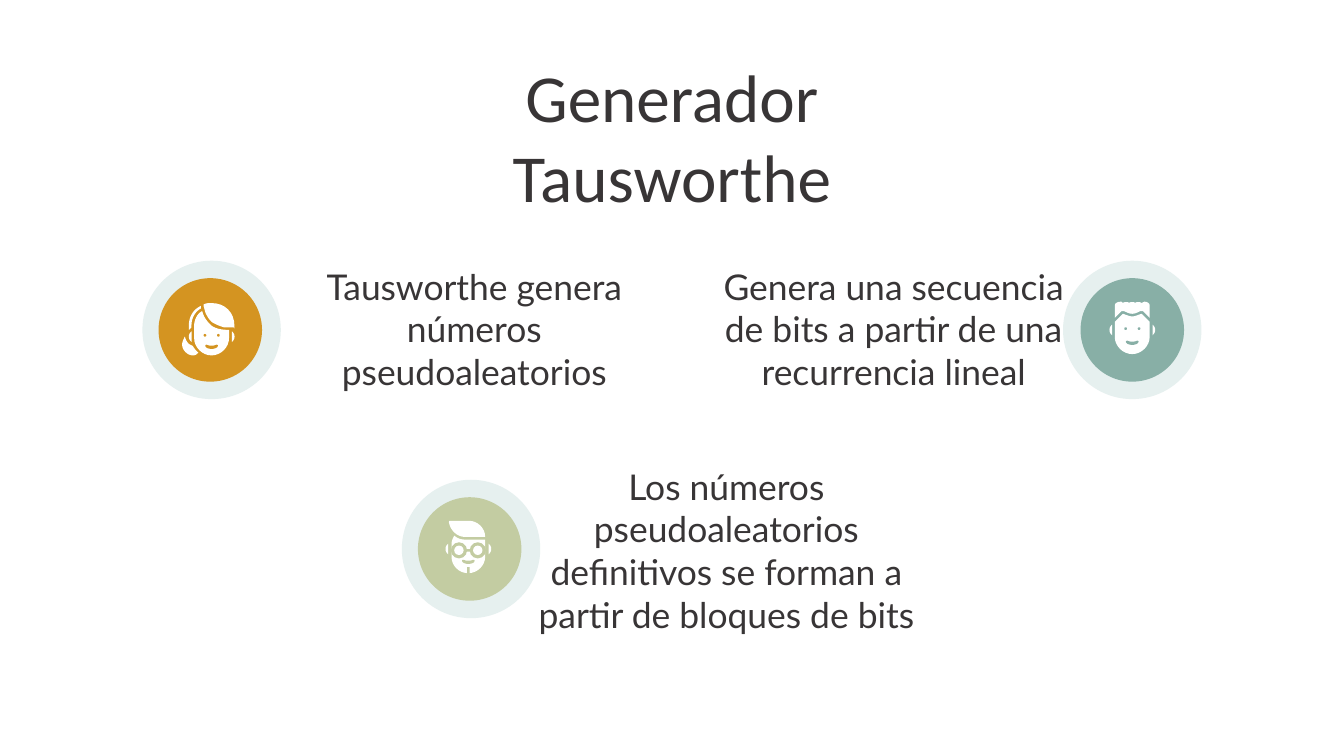
from pptx import Presentation
from pptx.dml.color import RGBColor
from pptx.enum.shapes import MSO_SHAPE
from pptx.enum.text import MSO_ANCHOR, PP_ALIGN
from pptx.util import Inches, Pt

OVAL, RECT = MSO_SHAPE.OVAL, MSO_SHAPE.RECTANGLE
TOP, CENTER = MSO_ANCHOR.TOP, PP_ALIGN.CENTER
INK, WHITE, PALE = "383536", "FFFFFF", "E6F0EF"
GOLD, TEAL, OLIVE = "D49421", "88AFA6", "C3CCA2"
RING, DISC = 1.03, 0.77

# Outlines in hundredths of an inch from the middle of the ears.
# A pair is a line to a point, six numbers are a Bezier curve.
EAR = [(-15, -4), (-16, -3, -17, -2, -17, 0), (-17, 2, -16, 3, -15, 4)]
MOUTH = [(-3.5, 0), (-2, 1, 2, 1, 3.5, 0), (5, 0, 5, 1, 4, 2),
         (2, 3.5, -2, 3.5, -4, 2), (-5, 1, -5, 0, -3.5, 0)]
WOMAN = [
    # face
    [(-7, -19), (-11, -17, -13, -12, -13, -8), (-13, 1),
     (-13, 8, -7, 14, 0, 14), (7, 14, 13, 8, 13, 1), (13, -5),
     (7, -5, 2, -6, -1, -9), (-4, -12, -6, -15, -7, -19)],
    # fringe
    [(0, -25), (-2, -25, -4, -25, -6, -24), (-6, -22, -5, -20, -5, -19),
     (-4, -16, -2, -13, 0, -11), (3, -9, 6, -8, 9, -7), (13, -7),
     (16, -7, 17, -7, 17, -6), (17, -8), (17, -18, 10, -25, 0, -25)],
    # side strand
    [(-8, -23), (-14, -20, -17, -15, -17, -8), (-17, -5), (-15, -7),
     (-15, -9), (-15, -14, -12, -19, -8, -21)],
    # bun
    [(-20, 0), (-21, 2, -22, 4, -22, 6), (-22, 10, -18, 14, -14, 14),
     (-12, 14, -11, 13, -10, 12), (-11, 11, -13, 9, -14, 7), (-16, 6),
     (-18, 5, -19, 3, -20, 0)],
]
CURLS = [step for x in (7, 2.5, -2)
         for step in ((x, -20), (x - 1, -21, x - 4, -21, x - 5, -20))]
MAN = [
    # face
    [(-7, -12), (-13, -6), (-13, 5), (-13, 12, -7, 18, 0, 18),
     (7, 18, 13, 12, 13, 5), (13, -6), (7, -12),
     (4, -11, 2, -10, 0, -10), (-2, -10, -4, -11, -7, -12)],
    # curly hair
    [(-13, -18), (-13, -9), (-8, -14), (-6, -14),
     (-4, -13, -2, -12, 0, -12), (2, -12, 4, -13, 6, -14), (8, -14),
     (13, -9), (13, -18), (13, -20, 11, -21, 9, -21), *CURLS,
     (-8, -21), (-11, -21, -13, -20, -13, -18)],
]
READER = [
    # face
    [(-10.5, -10), (-11.5, -8, -12.5, -6, -12.5, -4), (-12.5, 6),
     (-12.5, 12, -7.5, 18, 0, 18), (7, 18, 12.5, 12, 12.5, 6),
     (12.5, -7), (-2.5, -7), (-5.5, -7, -8.5, -8, -10.5, -10)],
    # swept hair
    [(-13.5, -21), (-14.5, -21, -14.5, -20, -14.5, -20),
     (-13.5, -14, -8.5, -9, -2.5, -9), (12.5, -9),
     (12.5, -16, 6.5, -21, 0.5, -21)],
]


def paint(shape, color):
    shape.shadow.inherit = False
    shape.fill.solid()
    shape.fill.fore_color.rgb = RGBColor.from_string(color)
    shape.line.fill.background()


def block(slide, kind, mid, size, color):
    """Preset shape centred on a point."""
    (x, y), (w, h) = mid, size
    paint(slide.shapes.add_shape(kind, Inches(x - w / 2), Inches(y - h / 2),
                                 Inches(w), Inches(h)), color)


def trace(slide, mid, steps, color, flip=1):
    """Closed outline around a point, with its curves cut into short lines."""
    dots = []
    for step in steps:
        if len(step) == 2:
            dots.append(step)
            continue
        nodes = [dots[-1], step[:2], step[2:4], step[4:]]
        for i in range(1, 9):
            t = i / 8
            mix = ((1 - t) ** 3, 3 * t * (1 - t) ** 2, 3 * t * t * (1 - t), t ** 3)
            dots.append(tuple(sum(m * n[k] for m, n in zip(mix, nodes))
                              for k in (0, 1)))
    spots = [(Inches(mid[0] + flip * x / 100), Inches(mid[1] + y / 100))
             for x, y in dots]
    outline = slide.shapes.build_freeform(*spots[0])
    outline.add_line_segments(spots[1:], close=True)
    paint(outline.convert_to_shape(), color)


def write(slide, box, text, size=19, font="Lato", color=INK):
    frame = slide.shapes.add_textbox(*map(Inches, box)).text_frame
    frame.word_wrap = True
    frame.vertical_anchor = TOP
    frame.margin_left = frame.margin_right = Inches(0.1)
    frame.margin_top = frame.margin_bottom = Inches(0.1)
    para = frame.paragraphs[0]
    para.alignment = CENTER
    run = para.add_run()
    run.text = text
    run.font.size = Pt(size)
    run.font.name = font
    run.font.color.rgb = RGBColor.from_string(color)


def badge(slide, box, color, parts, shift, mouth, glasses=False):
    """Ring, disc and face; shift leads from the disc's middle to the ears."""
    x, y = box[0] + RING / 2, box[1] + RING / 2
    block(slide, OVAL, (x, y), (RING, RING), PALE)
    x -= 0.01 if x < 5 else 0
    block(slide, OVAL, (x, y), (DISC, DISC), color)
    x, y = x + shift[0], y + shift[1]
    for part in parts:
        trace(slide, (x, y), part, WHITE)
    for side in (-1, 1):
        trace(slide, (x, y), EAR, WHITE, flip=side)
        if glasses:
            eye = (x + side * 0.07, y + 0.01)
            block(slide, OVAL, eye, (0.12, 0.12), color)
            block(slide, OVAL, eye, (0.07, 0.07), WHITE)
        else:
            block(slide, OVAL, (x + side * 0.05, y - 0.01), (0.02, 0.02), color)
    trace(slide, (x, y + mouth), MOUTH, color)
    # Bridge of the glasses and beard line
    if glasses:
        block(slide, RECT, (x, y + 0.01), (0.04, 0.02), color)
        block(slide, RECT, (x, y + 0.16), (0.02, 0.05), color)


def main():
    deck = Presentation()
    deck.slide_width = Inches(10)
    deck.slide_height = deck.slide_width * 9 // 16
    slide = deck.slides.add_slide(deck.slide_layouts[6])

    # Title
    write(slide, (2.65, 0.31, 4.7, 0.69), "Generador Tausworthe",
          size=36, font="Calibri")

    # Badges
    badge(slide, (1.06, 1.94), GOLD, WOMAN, (0.01, 0.05), 0.06)
    badge(slide, (7.91, 1.94), TEAL, MAN, (0, 0), 0.08)
    badge(slide, (2.99, 3.57), OLIVE, READER, (-0.01, 0), 0.08, glasses=True)

    # Statements
    for box, text in (
        ((2.26, 1.87, 2.54, 1.03), "Tausworthe genera números pseudoaleatorios"),
        ((5.26, 1.87, 2.78, 1.03),
         "Genera una secuencia de bits a partir de una recurrencia lineal"),
        ((3.79, 3.36, 3.23, 1.44),
         "Los números pseudoaleatorios definitivos se forman a partir de "
         "bloques de bits"),
    ):
        write(slide, box, text)

    deck.save("out.pptx")


if __name__ == "__main__":
    main()
